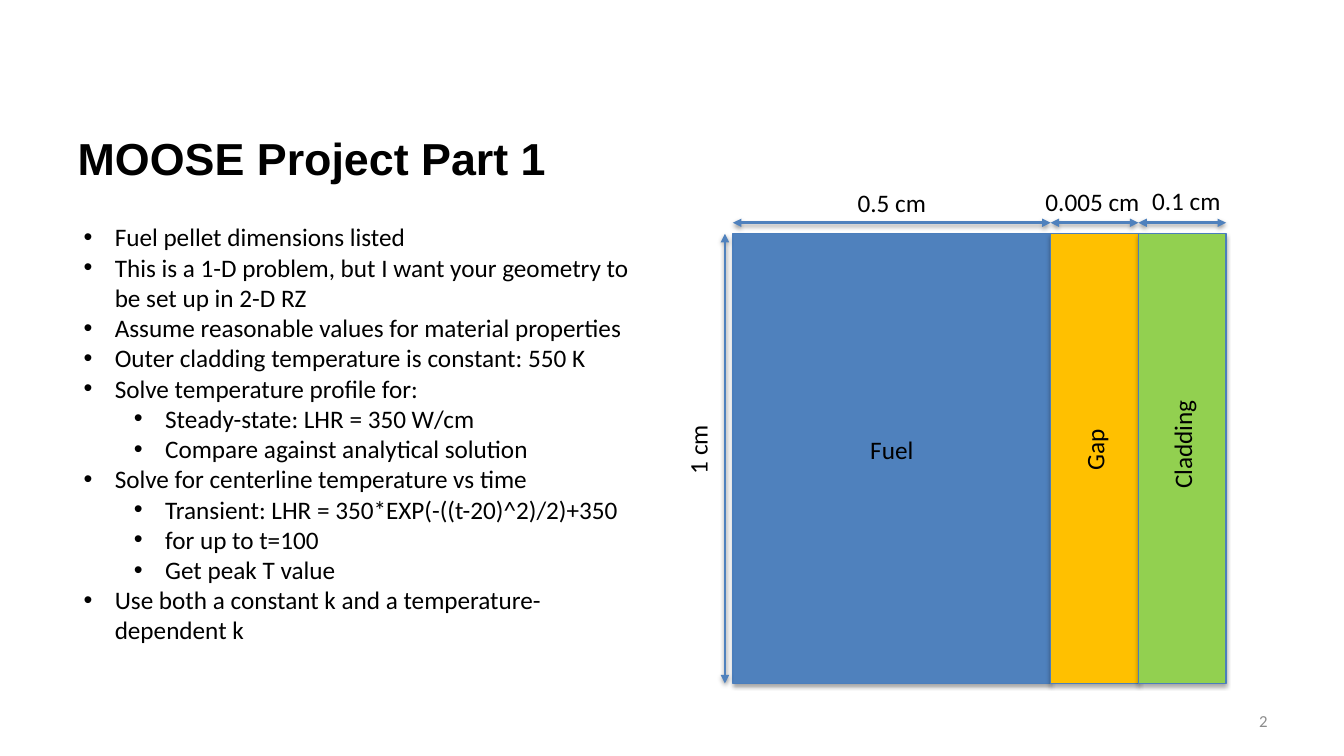
import pptx
import pptx.util
import pptx.dml.color
import pptx.enum.shapes
import pptx.enum.text
import pptx.oxml
import pptx.oxml.ns

TITLE = "MOOSE Project Part 1"
PAGE_NUMBER = "2"
TASKS = [
    (0, "Fuel pellet dimensions listed"),
    (0, "This is a 1-D problem, but I want your geometry to be set up in 2-D RZ"),
    (0, "Assume reasonable values for material properties"),
    (0, "Outer cladding temperature is constant: 550 K"),
    (0, "Solve temperature profile for:"),
    (1, "Steady-state: LHR = 350 W/cm"),
    (1, "Compare against analytical solution"),
    (0, "Solve for centerline temperature vs time"),
    (1, "Transient: LHR = 350*EXP(-((t-20)^2)/2)+350"),
    (1, "for up to t=100"),
    (1, "Get peak T value"),
    (0, "Use both a constant k and a temperature-dependent k"),
]
LAYERS = [
    dict(name="Fuel", size="0.5 cm", width=3.15, fill="4F81BD", turn=0, lift=0, size_shift=(0, 0)),
    dict(name="Gap", size="0.005 cm", width=0.87, fill="FFC000", turn=270, lift=0, size_shift=(-0.02, -0.01)),
    dict(name="Cladding", size="0.1 cm", width=0.87, fill="92D050", turn=270, lift=0.05, size_shift=(0.04, -0.02)),
]
PELLET_HEIGHT_LABEL = "1 cm"

PELLET_LEFT, PELLET_TOP, PELLET_HEIGHT = 7.27, 2.32, 4.46
PELLET_BOTTOM = PELLET_TOP + PELLET_HEIGHT
PELLET_MIDDLE = PELLET_TOP + PELLET_HEIGHT / 2 - 0.09
WIDTH_ARROW_TOP = PELLET_TOP - 0.11
HEIGHT_ARROW_LEFT = PELLET_LEFT - 0.08
LABEL_WIDTH, LABEL_HEIGHT = 1.79, 0.4
INDENT, LEVEL_STEP = 0.31, 0.5

inches = pptx.util.Inches
qn = pptx.oxml.ns.qn


def color(value):
    return pptx.dml.color.RGBColor.from_string(value)


def place(left, top, width, height):
    return [inches(length) for length in (left, top, width, height)]


def style(para, size, name="Calibri", value="000000", bold=False):
    for span in para.runs:
        span.font.size = pptx.util.Pt(size)
        span.font.name = name
        span.font.bold = bold
        span.font.color.rgb = color(value)


def add_shadow(shape, alpha, distance):
    properties = shape._element.spPr
    for effects in properties.findall(qn("a:effectLst")):
        properties.remove(effects)
    properties.append(pptx.oxml.parse_xml(
        f'<a:effectLst {pptx.oxml.ns.nsdecls("a")}>'
        f'<a:outerShdw blurRad="{pptx.util.Pt(3.1)}" dist="{pptx.util.Pt(distance)}" '
        f'dir="5400000" rotWithShape="0"><a:srgbClr val="000000">'
        f'<a:alpha val="{alpha * 1000}"/></a:srgbClr></a:outerShdw></a:effectLst>'))


def add_box(page, left, top, width, height):
    box = page.shapes.add_textbox(*place(left, top, width, height))
    box.text_frame.word_wrap = True
    return box


def add_label(page, text, center, middle, turn=0):
    box = add_box(page, center - LABEL_WIDTH / 2, middle - LABEL_HEIGHT / 2,
                  LABEL_WIDTH, LABEL_HEIGHT)
    box.rotation = turn
    box.text_frame.auto_size = pptx.enum.text.MSO_AUTO_SIZE.SHAPE_TO_FIT_TEXT
    para = box.text_frame.paragraphs[0]
    para.text = text
    para.alignment = pptx.enum.text.PP_ALIGN.CENTER
    style(para, 18)


def add_arrow(page, *ends):
    arrow = page.shapes.add_connector(
        pptx.enum.shapes.MSO_CONNECTOR.STRAIGHT, *place(*ends))
    arrow.line.color.rgb = color("4F81BD")
    arrow.line.width = pptx.util.Pt(2)
    line = arrow.line._get_or_add_ln()
    for tag in ("a:headEnd", "a:tailEnd"):
        line.append(pptx.oxml.parse_xml(
            f'<{tag} {pptx.oxml.ns.nsdecls("a")} type="triangle"/>'))
    add_shadow(arrow, 38, 1.6)


def add_layer(page, left, width, fill):
    layer = page.shapes.add_shape(
        pptx.enum.shapes.MSO_SHAPE.RECTANGLE,
        *place(left, PELLET_TOP, width, PELLET_HEIGHT))
    layer.fill.solid()
    layer.fill.fore_color.rgb = color(fill)
    layer.line.color.rgb = color("4B7EBC")
    layer.line.width = pptx.util.Pt(0.75)
    add_shadow(layer, 35, 1.8)


def add_pellet(page):
    left = PELLET_LEFT
    for layer in LAYERS:
        add_layer(page, left, layer["width"], layer["fill"])
        left += layer["width"]
    left = PELLET_LEFT
    for layer in LAYERS:
        right = left + layer["width"]
        center = (left + right) / 2
        across, down = layer["size_shift"]
        add_arrow(page, left, WIDTH_ARROW_TOP, right, WIDTH_ARROW_TOP)
        add_label(page, layer["name"], center, PELLET_MIDDLE - layer["lift"], layer["turn"])
        add_label(page, layer["size"], center + across, WIDTH_ARROW_TOP - 0.2 + down)
        left = right
    add_arrow(page, HEIGHT_ARROW_LEFT, PELLET_BOTTOM, HEIGHT_ARROW_LEFT, PELLET_TOP)
    add_label(page, PELLET_HEIGHT_LABEL, HEIGHT_ARROW_LEFT - 0.27, PELLET_MIDDLE, 270)


def add_tasks(page):
    frame = add_box(page, 0.73, 2.15, 5.79, 4.34).text_frame
    frame.auto_size = pptx.enum.text.MSO_AUTO_SIZE.SHAPE_TO_FIT_TEXT
    frame.text = "\n".join(text for level, text in TASKS)
    for para, (level, text) in zip(frame.paragraphs, TASKS):
        para.level = level
        properties = para._p.get_or_add_pPr()
        properties.set("marL", str(inches(INDENT + level * LEVEL_STEP)))
        properties.set("indent", str(-inches(INDENT)))
        for bullet in ('a:buFont {} typeface="Arial"', 'a:buChar {} char="•"'):
            properties.append(pptx.oxml.parse_xml(
                f'<{bullet.format(pptx.oxml.ns.nsdecls("a"))}/>'))
        style(para, 18)


def add_title(page):
    title = page.shapes.title
    title.left, title.top, title.width, title.height = place(0.67, 0.98, 12, 1.17)
    title.text_frame.text = TITLE
    title.text_frame.vertical_anchor = pptx.enum.text.MSO_ANCHOR.MIDDLE
    para = title.text_frame.paragraphs[0]
    para.alignment = pptx.enum.text.PP_ALIGN.LEFT
    style(para, 32, "Arial", bold=True)


def add_page_number(page):
    frame = add_box(page, 9.56, 6.95, 3.11, 0.4).text_frame
    frame.text = PAGE_NUMBER
    frame.vertical_anchor = pptx.enum.text.MSO_ANCHOR.MIDDLE
    frame.paragraphs[0].alignment = pptx.enum.text.PP_ALIGN.RIGHT
    style(frame.paragraphs[0], 12, value="8C8C8C")


def main():
    deck = pptx.Presentation()
    deck.slide_width, deck.slide_height = inches(13.33), inches(7.5)
    page = deck.slides.add_slide(deck.slide_layouts.get_by_name("Title Only"))
    add_title(page)
    add_page_number(page)
    add_pellet(page)
    add_tasks(page)
    deck.save("out.pptx")


if __name__ == "__main__":
    main()
